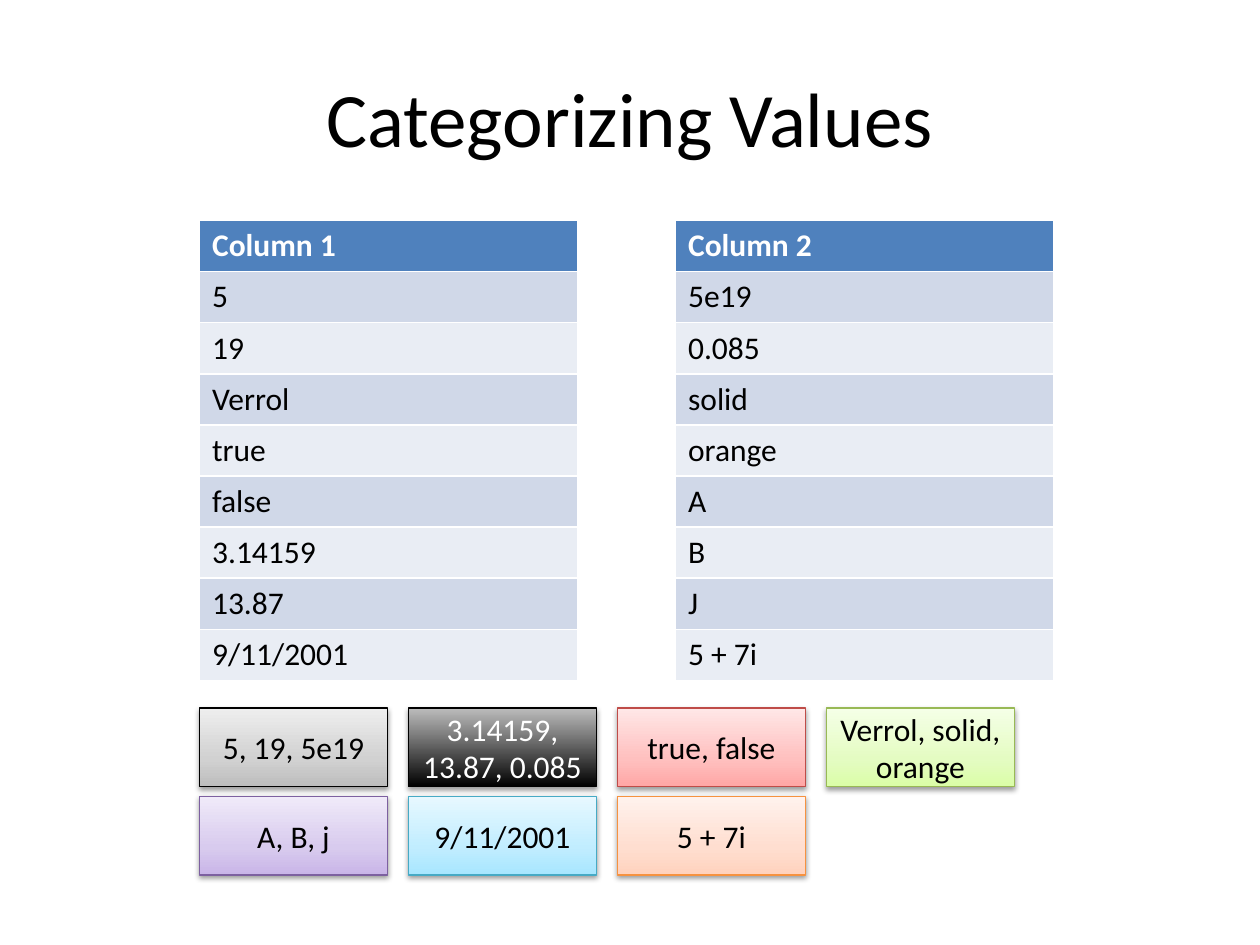
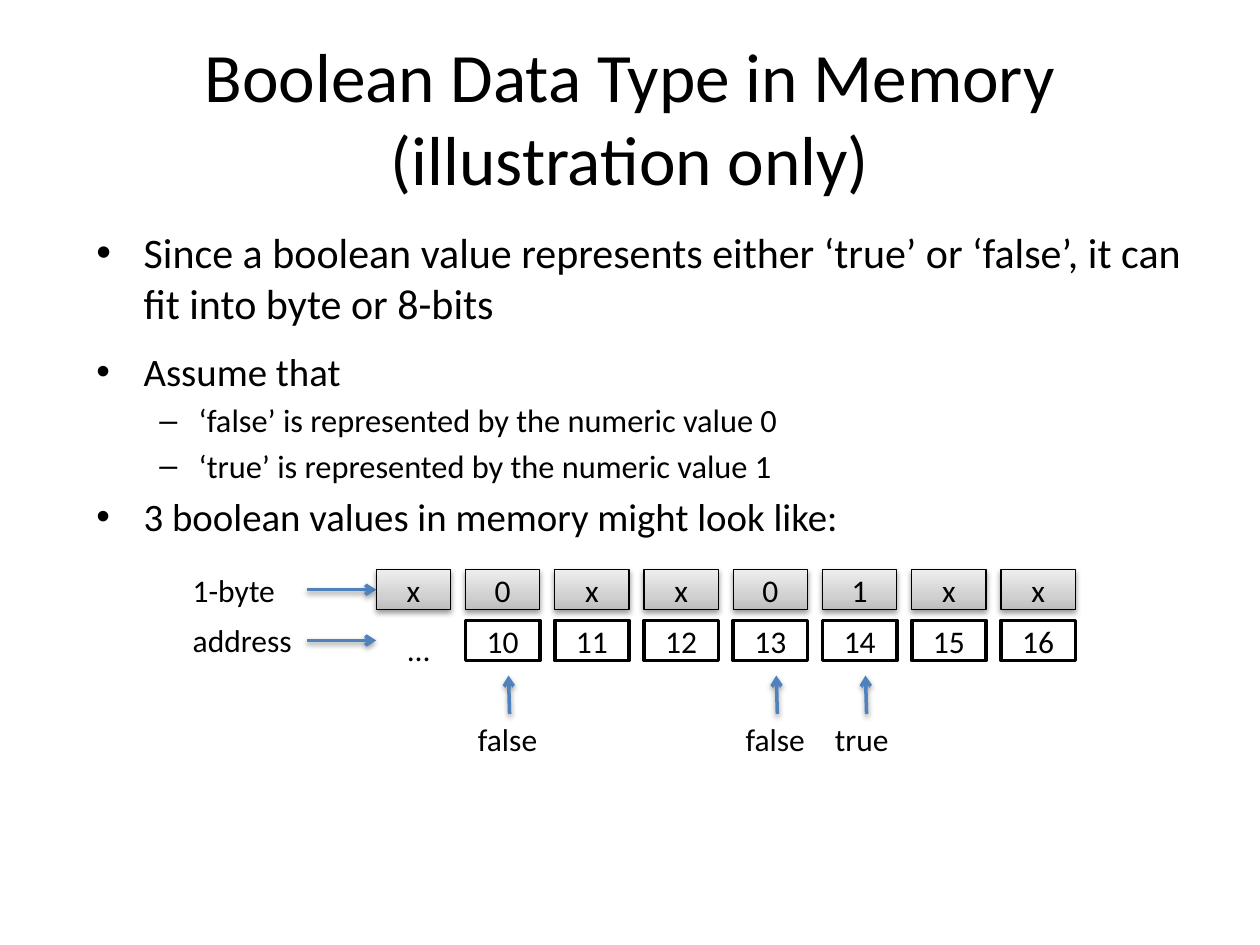
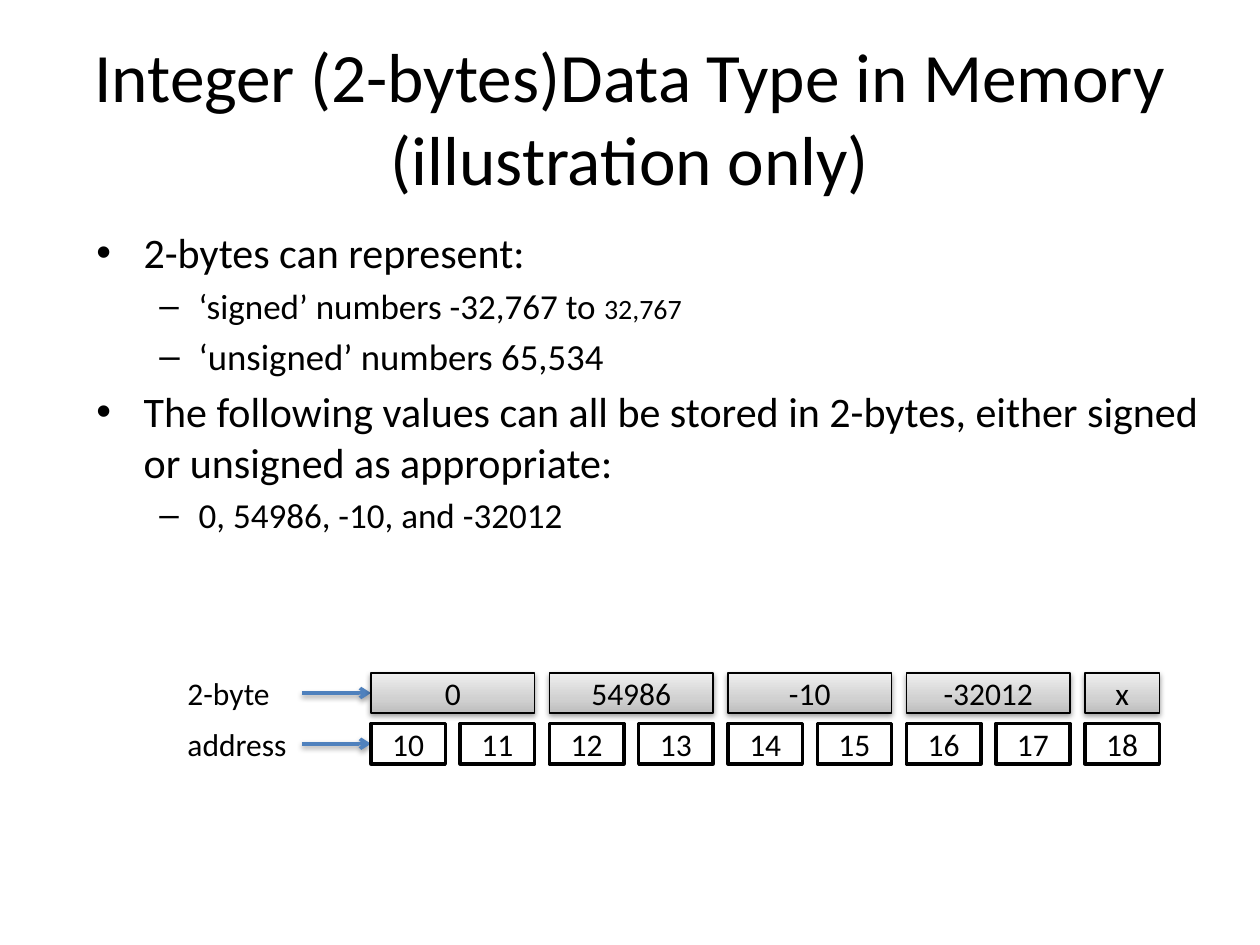
from lxml.etree import SubElement
from pptx import Presentation
from pptx.dml.color import RGBColor
from pptx.enum.shapes import MSO_CONNECTOR, MSO_SHAPE
from pptx.enum.text import MSO_ANCHOR, MSO_AUTO_SIZE, PP_ALIGN
from pptx.oxml.ns import qn
from pptx.util import Pt

FACE = "Calibri"
BLACK, WHITE, BLUE = "000000", "FFFFFF", "4F81BD"
BANDS = ("D0D8E8", "E9EDF4")
GRAY = ((0, "BDBDBD"), (35, "D1D1D1"), (100, "EEEEEE"))
DARK = ((0, "000000"), (100, "BDBDBD"))
RED = ((0, "FFA6A5"), (35, "FFC0BF"), (100, "FFE7E7"))
GREEN = ((0, "DAFDA7"), (35, "E4FCC2"), (100, "F5FFE7"))
PURPLE = ((0, "C9B5E8"), (35, "D8CBEE"), (100, "F0EAF9"))
AQUA = ((0, "A7E6FF"), (35, "C1EDFF"), (100, "E7F8FF"))
ORANGE = ((0, "FFD2BD"), (35, "FFDED0"), (100, "FFF2ED"))

# Memory strip: byte cells above their addresses
STEP, CELL, HIGH, ROW = 51, 42.5, 23, 29

# Bullet levels: sign, left margin, hanging indent
LEVELS = (("•", 27, 27), ("–", 58.5, 22.5))


def ink(code):
    return RGBColor.from_string(code)


def style(para, size=18, color=BLACK, bold=False):
    for run in para.runs:
        font = run.font
        font.name, font.size, font.bold = FACE, Pt(size), bold
        font.color.rgb = ink(color)


def shade(props):
    """Add the soft drop shadow to shape properties."""
    effects = props.find(qn("a:effectLst"))
    if effects is None:
        effects = SubElement(props, qn("a:effectLst"))
    outer = SubElement(effects, qn("a:outerShdw"), blurRad="40000", dist="20000",
                       dir="5400000", rotWithShape="0")
    tone = SubElement(outer, qn("a:srgbClr"), val=BLACK)
    SubElement(tone, qn("a:alpha"), val="38000")


def blend(shape, stops):
    """Fill a shape with a gradient that runs from bottom to top."""
    shape.fill.gradient()
    shape.fill.gradient_angle = 90
    group = shape.element.spPr.find(qn("a:gradFill")).find(qn("a:gsLst"))
    for old in list(group):
        group.remove(old)
    for place, code in stops:
        stop = SubElement(group, qn("a:gs"), pos=str(place * 1000))
        SubElement(stop, qn("a:srgbClr"), val=code)


def add_slide(deck, text, size):
    slide = deck.slides.add_slide(deck.slide_layouts[5])
    title = slide.shapes.title
    title.left, title.top, title.width, title.height = Pt(36), Pt(21.6), Pt(648), Pt(90)
    frame = title.text_frame
    frame.text = text
    frame.auto_size = MSO_AUTO_SIZE.NONE
    frame.vertical_anchor = MSO_ANCHOR.MIDDLE
    frame.paragraphs[0].alignment = PP_ALIGN.CENTER
    style(frame.paragraphs[0], size)
    return slide


def add_box(slide, left, top, width, height, text, stops=None,
            edge=BLACK, color=BLACK):
    """Add a rectangle: shaded when it has gradient stops, else plain white."""
    box = slide.shapes.add_shape(MSO_SHAPE.RECTANGLE, Pt(left), Pt(top),
                                 Pt(width), Pt(height))
    box.shadow.inherit = False
    if stops:
        blend(box, stops)
        shade(box.element.spPr)
    else:
        box.fill.solid()
        box.fill.fore_color.rgb = ink(WHITE)
    box.line.color.rgb = ink(edge)
    box.line.width = Pt(0.75 if stops else 2)
    frame = box.text_frame
    frame.text = text
    frame.vertical_anchor = MSO_ANCHOR.MIDDLE
    frame.paragraphs[0].alignment = PP_ALIGN.CENTER
    style(frame.paragraphs[0], color=color)


def add_label(slide, left, top, width, text):
    box = slide.shapes.add_textbox(Pt(left), Pt(top), Pt(width), Pt(29))
    box.text_frame.word_wrap = True
    box.text_frame.text = text
    style(box.text_frame.paragraphs[0])


def add_arrow(slide, x1, y1, x2, y2):
    arrow = slide.shapes.add_connector(MSO_CONNECTOR.STRAIGHT,
                                       Pt(x1), Pt(y1), Pt(x2), Pt(y2))
    arrow.line.color.rgb = ink(BLUE)
    arrow.line.width = Pt(2)
    props = arrow.element.spPr
    SubElement(props.find(qn("a:ln")), qn("a:tailEnd"), type="arrow")
    shade(props)


def add_list(slide, top, height, *items):
    """Add bullets; each item is a level and then (text, size) pairs."""
    box = slide.shapes.add_textbox(Pt(48), Pt(top), Pt(648), Pt(height))
    frame = box.text_frame
    frame.word_wrap = True
    for i, (level, *parts) in enumerate(items):
        para = frame.add_paragraph() if i else frame.paragraphs[0]
        sign, margin, hang = LEVELS[level]
        props = para._p.get_or_add_pPr()
        props.set("marL", str(Pt(margin)))
        props.set("indent", str(-Pt(hang)))
        SubElement(props, qn("a:buFont"), typeface="Arial")
        SubElement(props, qn("a:buChar"), char=sign)
        para.level = level
        if i:
            para.space_before = Pt(round(parts[0][1] * 0.2, 1))
        for text, size in parts:
            run = para.add_run()
            run.text = text
            run.font.name, run.font.size = FACE, Pt(size)
            run.font.color.rgb = ink(BLACK)


def add_values(slide, left, values):
    """Add a one-column table whose first value is the header."""
    grid = slide.shapes.add_table(len(values), 1, Pt(left), Pt(126),
                                  Pt(216), Pt(29.2 * len(values))).table
    for i, value in enumerate(values):
        cell = grid.cell(i, 0)
        cell.text = value
        cell.fill.solid()
        cell.fill.fore_color.rgb = ink(BANDS[(i - 1) % 2] if i else BLUE)
        style(cell.text_frame.paragraphs[0], color=BLACK if i else WHITE, bold=not i)


def add_strip(slide, left, top, name, cells, first, last, skip=0):
    """Add byte cells (text, span) and the row of addresses first..last."""
    for row, text in enumerate((name, "address")):
        level = top + row * ROW
        add_label(slide, left - 112, level - 3, 73, text)
        add_arrow(slide, left - 39.5, level + 11.5, left, level + 11.5)
    col = 0
    for text, span in cells:
        add_box(slide, left + col * STEP, top, (span - 1) * STEP + CELL, HIGH, text, GRAY)
        col += span
    for col, place in enumerate(range(first, last + 1), skip):
        add_box(slide, left + col * STEP, top + ROW, CELL, HIGH, str(place))


def sort_slide(deck):
    slide = add_slide(deck, "Categorizing Values", 44)
    add_values(slide, 114, ("Column 1", "5", "19", "Verrol", "true", "false",
                            "3.14159", "13.87", "9/11/2001"))
    add_values(slide, 386, ("Column 2", "5e19", "0.085", "solid", "orange",
                            "A", "B", "J", "5 + 7i"))
    chips = (
        ("5, 19, 5e19", GRAY, BLACK, BLACK),
        ("3.14159, 13.87, 0.085", DARK, BLACK, WHITE),
        ("true, false", RED, "BF4C48", BLACK),
        ("Verrol, solid, orange", GREEN, "98B955", BLACK),
        ("A, B, j", PURPLE, "7D60A0", BLACK),
        ("9/11/2001", AQUA, "46AAC5", BLACK),
        ("5 + 7i", ORANGE, "F69240", BLACK),
    )
    for i, (text, stops, edge, color) in enumerate(chips):
        row, col = divmod(i, 4)
        add_box(slide, 114 + col * 119.4, 404.6 + row * 50.4, 107.5, 45,
                text, stops, edge, color)


def bool_slide(deck):
    slide = add_slide(deck, "Boolean Data Type in Memory\v(illustration only)", 39.6)
    add_list(slide, 126, 76,
             (0, ("Since a boolean value represents either ‘true’ or ‘false’, "
                  "it can fit into byte or 8-bits", 24)))
    add_list(slide, 195, 116,
             (0, ("Assume that", 22.2)),
             (1, ("‘false’ is represented by the numeric value 0", 18.5)),
             (1, ("‘true’ is represented by the numeric value 1", 18.5)),
             (0, ("3 boolean values in memory might look like:", 22.2)))
    left = 215
    add_strip(slide, left, 325.5, "1-byte", [(bit, 1) for bit in "x0xx01xx"], 10, 16, skip=1)
    add_label(slide, left + 11, 356.5, 28, "…")
    for col, text in ((1, "false"), (4, "false"), (5, "true")):
        spot = left + col * STEP
        add_label(slide, spot, 408, 51, text)
        add_arrow(slide, spot + 25.2, 408, spot + 24.6, 386)


def int_slide(deck):
    slide = add_slide(deck, "Integer (2-bytes)Data Type in Memory\v(illustration only)", 39.6)
    add_list(slide, 126, 217,
             (0, ("2-bytes can represent:", 24)),
             (1, ("‘signed’ numbers -32,767 to ", 20), ("32,767", 16)),
             (1, ("‘unsigned’ numbers 65,534", 21)),
             (0, ("The following values can all be stored in 2-bytes, "
                  "either signed or unsigned as appropriate:", 24)),
             (1, ("0, 54986, -10, and -32012", 20)))
    cells = [(text, 2) for text in ("0", "54986", "-10", "-32012")] + [("x", 1)]
    add_strip(slide, 212, 384.5, "2-byte", cells, 10, 18)


def main():
    deck = Presentation()
    deck.slide_width, deck.slide_height = Pt(720), Pt(540)
    sort_slide(deck)
    bool_slide(deck)
    int_slide(deck)
    deck.save("out.pptx")


if __name__ == "__main__":
    main()
